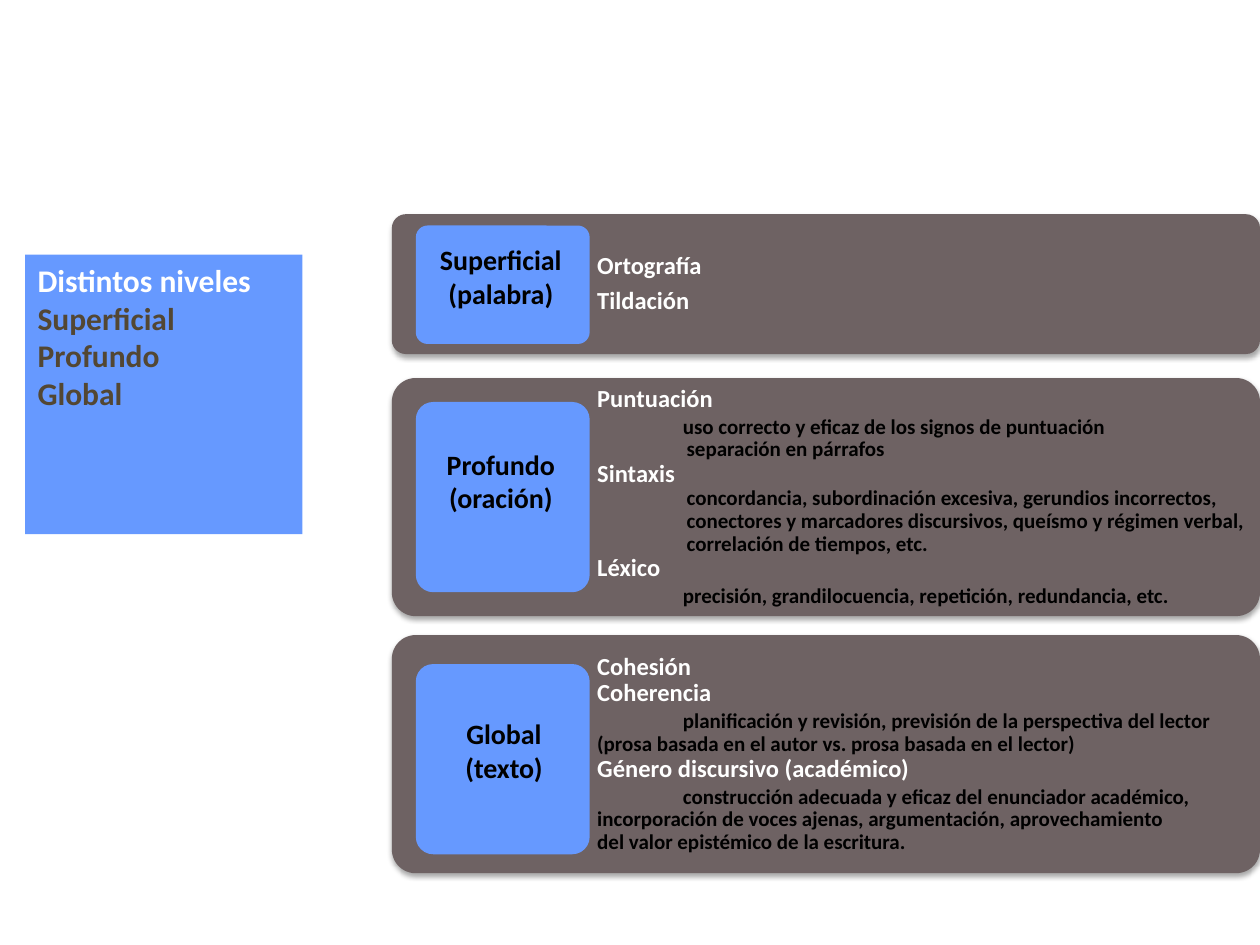
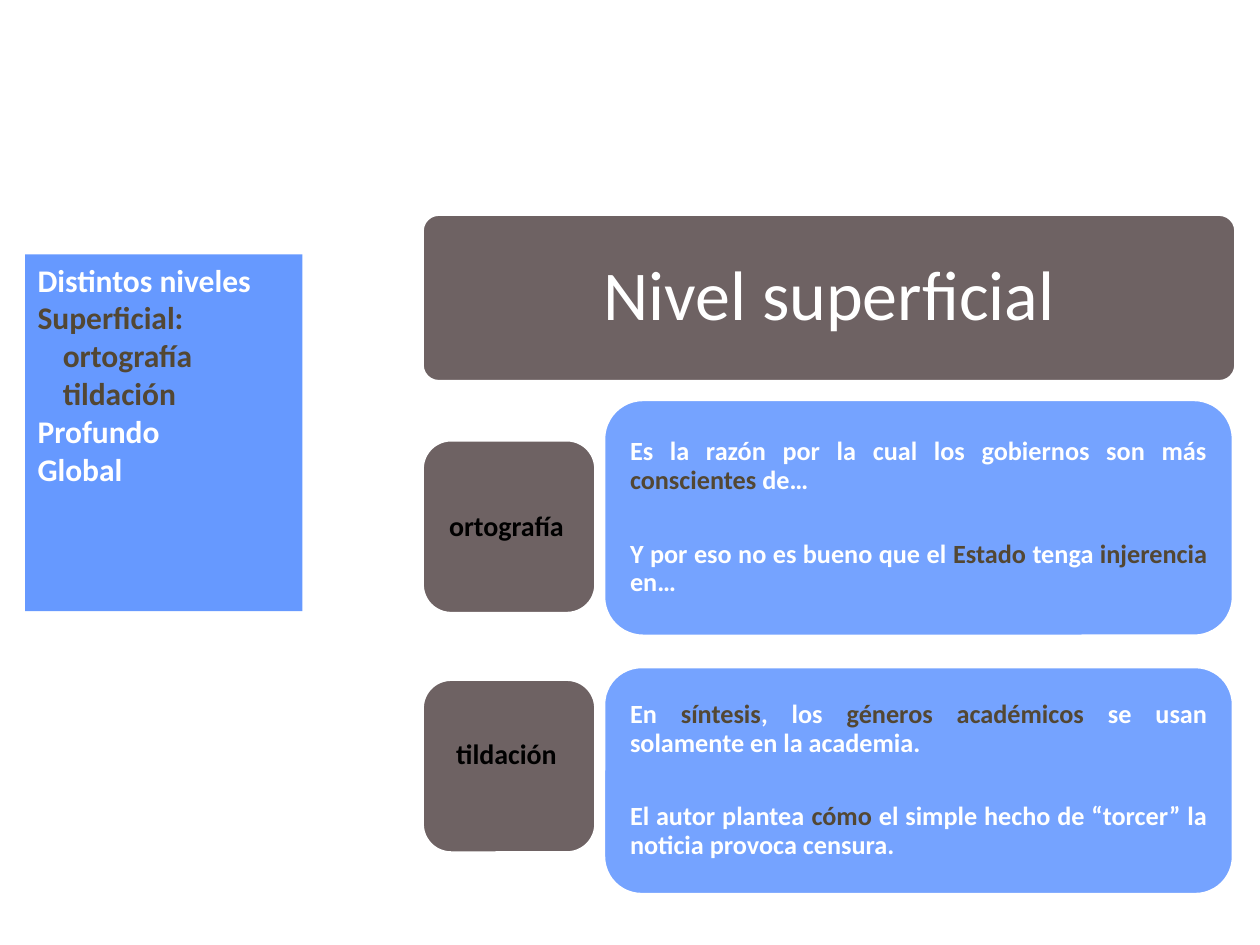
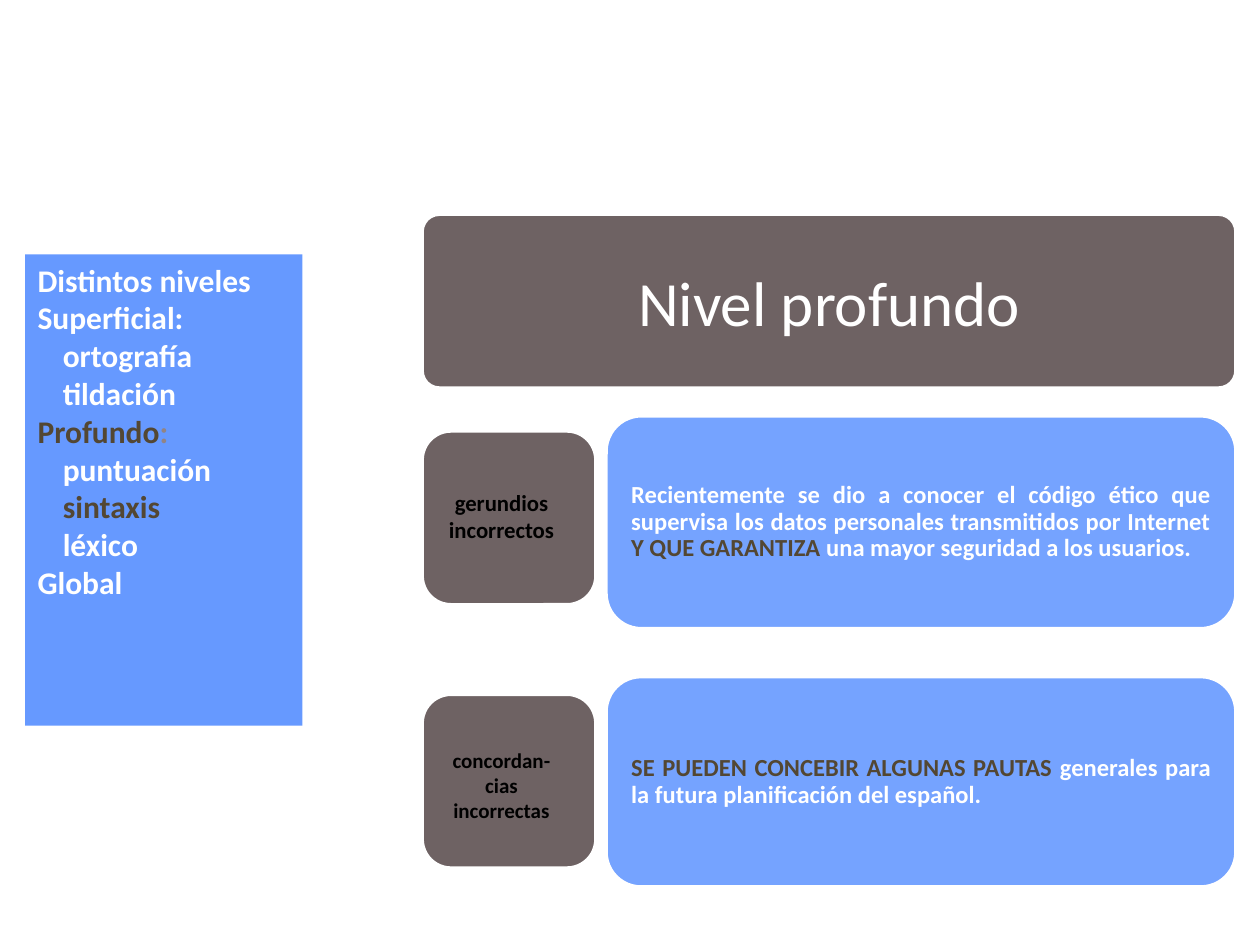
import dataclasses
import typing

import lxml.etree
import pptx
import pptx.dml.color
import pptx.enum.shapes
import pptx.enum.text
import pptx.oxml.ns
import pptx.util

Align = pptx.enum.text.PP_ALIGN
Anchor = pptx.enum.text.MSO_ANCHOR
Preset = pptx.enum.shapes.MSO_SHAPE

# Grid: 100 columns by 75 rows of square cells on a 10 by 7.5 inch page
CELL = pptx.util.Inches(0.1)
COLUMNS, ROWS = 100, 75


@dataclasses.dataclass(frozen=True)
class Theme:
    font: str = "Calibri"
    white: str = "FFFFFF"
    black: str = "000000"
    blue: str = "6699FF"
    taupe: str = "6E6263"
    brown: str = "534733"
    grey: str = "918485"
    index: int = 18
    label: int = 16
    example: int = 15
    heading: int = 14
    detail: int = 12
    outline: int = 2
    tight: float = 0.9
    bar_corner: float = 0.1
    card_corner: float = 0.167


THEME = Theme()


class Area(typing.NamedTuple):
    """Left, top, width and height in grid cells."""
    left: float
    top: float
    width: float
    height: float

    def inset(self, margin: float) -> "Area":
        return Area(self.left + margin, self.top + margin,
                    self.width - 2 * margin, self.height - 2 * margin)


class Span(typing.NamedTuple):
    text: str
    colour: str


@dataclasses.dataclass(frozen=True)
class Line:
    """One paragraph; indents and the tab stop are in grid cells."""
    spans: tuple[Span, ...]
    size: float
    bold: bool = True
    align: Align = Align.LEFT
    spacing: float = 1.0
    before: float = 0
    after: float = 0
    margin: float = 0
    first: float = 0
    tab: float = 0


@dataclasses.dataclass(frozen=True)
class Level:
    """A bar of the overview with its tile, its label and its text."""
    bar: Area
    tile: Area
    label_area: Area
    label: tuple[str, ...]
    lines: tuple[Line, ...]


@dataclasses.dataclass(frozen=True)
class Example:
    """A topic tile beside a card with sample sentences."""
    tile: Area
    label_area: Area
    label: str
    label_size: float
    card: Area
    lines: tuple[Line, ...]


@dataclasses.dataclass(frozen=True)
class TopicPage:
    index_height: float
    index: tuple[Line, ...]
    title_area: Area
    title: Line
    padding: float
    examples: tuple[Example, ...]


# Kinds of line

def accented(text: str) -> tuple[Span, ...]:
    """White text in which the parts between asterisks are brown."""
    colours = (THEME.white, THEME.brown)
    return tuple(Span(part, colours[number % 2])
                 for number, part in enumerate(text.split("*")) if part)


def entry(text: str, margin: float = 0) -> Line:
    return Line(accented(text), THEME.index, margin=margin)


def heading(text: str, after: float = 0) -> Line:
    return Line(accented(text), THEME.heading, spacing=THEME.tight, after=after)


def detail(text: str, **layout: float) -> Line:
    return Line((Span(text, THEME.black),), THEME.detail, spacing=THEME.tight, **layout)


def opening(text: str, **layout: float) -> Line:
    """A detail whose first line alone is indented."""
    return detail(text, first=6.8, before=2, **layout)


def sentence(text: str, size: float, after: float = 0) -> Line:
    return Line(accented(text), size, align=Align.JUSTIFY, spacing=THEME.tight, after=after)


def label_line(text: str, size: float) -> Line:
    return Line((Span(text, THEME.black),), size, align=Align.CENTER)


def title_line(text: str, size: float, spacing: float) -> Line:
    return Line(accented(text), size, bold=False, align=Align.CENTER, spacing=spacing)


# Drawing

def cells(count: float) -> int:
    return round(count * CELL)


def place(area: Area) -> list[int]:
    return [cells(length) for length in area]


def colour(value: str) -> pptx.dml.color.RGBColor:
    return pptx.dml.color.RGBColor.from_string(value)


def apply_format(target: typing.Any, values: dict[str, typing.Any]) -> None:
    for name, value in values.items():
        setattr(target, name, value)


def add_child(parent: typing.Any, tag: str, **attributes: typing.Any) -> typing.Any:
    child = lxml.etree.SubElement(parent, pptx.oxml.ns.qn(tag))
    for name, value in attributes.items():
        child.set(name, str(value))
    return child


def draw_box(page: typing.Any, area: Area, fill: str, corner: float = 0,
             outlined: bool = False, opacity: int = 100) -> typing.Any:
    preset = Preset.ROUNDED_RECTANGLE if corner else Preset.RECTANGLE
    box = page.shapes.add_shape(preset, *place(area))
    box.shadow.inherit = False
    if corner:
        box.adjustments[0] = corner
    box.fill.solid()
    box.fill.fore_color.rgb = colour(fill)
    if opacity < 100:
        tone = box.fill._xPr.find(".//" + pptx.oxml.ns.qn("a:srgbClr"))
        add_child(tone, "a:alpha", val=opacity * 1000)
    if outlined:
        box.line.color.rgb = colour(THEME.white)
        box.line.width = pptx.util.Pt(THEME.outline)
    else:
        box.line.fill.background()
    return box


def cast_shadow(box: typing.Any) -> None:
    effects = box._element.spPr.find(pptx.oxml.ns.qn("a:effectLst"))
    shadow = add_child(effects, "a:outerShdw", blurRad=pptx.util.Pt(3.1),
                       dist=pptx.util.Pt(1.8), dir=90 * 60000, rotWithShape=0)
    tone = add_child(shadow, "a:srgbClr", val=THEME.black)
    add_child(tone, "a:alpha", val=35000)


def write(box: typing.Any, lines: typing.Sequence[Line], anchor: Anchor = Anchor.TOP,
          across: float = 1, down: float = 0.5) -> None:
    frame = box.text_frame
    apply_format(frame, {
        "word_wrap": True, "vertical_anchor": anchor,
        "margin_left": cells(across), "margin_right": cells(across),
        "margin_top": cells(down), "margin_bottom": cells(down)})
    for number, line in enumerate(lines):
        para = frame.add_paragraph() if number else frame.paragraphs[0]
        apply_format(para, {
            "alignment": line.align, "line_spacing": line.spacing,
            "space_before": pptx.util.Pt(line.before),
            "space_after": pptx.util.Pt(line.after)})
        properties = para._p.get_or_add_pPr()
        properties.set("marL", str(cells(line.margin)))
        properties.set("indent", str(cells(line.first)))
        if line.tab:
            stops = add_child(properties, "a:tabLst")
            add_child(stops, "a:tab", pos=cells(line.tab), algn="l")
        for span in line.spans:
            run = para.add_run()
            run.text = span.text
            apply_format(run.font, {"name": THEME.font, "bold": line.bold,
                                    "size": pptx.util.Pt(line.size)})
            run.font.color.rgb = colour(span.colour)


def draw_text(page: typing.Any, area: Area, lines: typing.Sequence[Line],
              **layout: typing.Any) -> None:
    write(page.shapes.add_textbox(*place(area)), lines, **layout)


def draw_index(page: typing.Any, height: float, lines: typing.Sequence[Line]) -> None:
    write(draw_box(page, Area(2, 20.2, 22, height), THEME.blue), lines)


def draw_level(page: typing.Any, level: Level) -> None:
    cast_shadow(draw_box(page, level.bar, THEME.taupe, THEME.bar_corner))
    text_area = level.bar._replace(left=46.8, width=COLUMNS - 46.8)
    draw_text(page, text_area, level.lines, anchor=Anchor.MIDDLE, across=0.6, down=0.6)
    draw_box(page, level.tile, THEME.blue, THEME.bar_corner)
    draw_text(page, level.label_area, [label_line(text, THEME.label) for text in level.label])


def draw_example(page: typing.Any, example: Example, padding: float) -> None:
    draw_box(page, example.tile, THEME.taupe, THEME.card_corner, outlined=True)
    draw_box(page, example.card, THEME.blue, THEME.card_corner, outlined=True, opacity=90)
    draw_text(page, example.card.inset(0.9), example.lines,
              anchor=Anchor.MIDDLE, across=padding, down=padding)
    draw_text(page, example.label_area, [label_line(example.label, example.label_size)])


def draw_topic(page: typing.Any, topic: TopicPage) -> None:
    draw_index(page, topic.index_height, topic.index)
    draw_box(page, topic.title_area, THEME.taupe, THEME.bar_corner, outlined=True)
    draw_text(page, topic.title_area.inset(0.4), [topic.title],
              anchor=Anchor.MIDDLE, across=0.8, down=0.6)
    for example in topic.examples:
        draw_example(page, example, topic.padding)


# Content

OVERVIEW_INDEX = tuple(map(entry, (
    "Distintos niveles", "*Superficial*", "*Profundo*", "*Global*")))

LEVELS = (
    Level(Area(31.1, 17, 68.9, 11.1), Area(33, 17.9, 13.8, 9.4),
          Area(33.4, 18.8, 12.7, 8.4), ("Superficial", "(palabra)"),
          (heading("Ortografía", after=5), heading("Tildación"))),
    Level(Area(31.1, 30, 68.9, 18.9), Area(33, 31.9, 13.8, 15.1),
          Area(34.2, 35, 11.1, 6.4), ("Profundo", "(oración)"),
          (heading("Puntuación"),
           opening("uso correcto y eficaz de los signos de puntuación"),
           detail("separación en párrafos", margin=7.1),
           heading("Sintaxis"),
           detail("concordancia, subordinación excesiva, gerundios incorrectos, "
                  "conectores y marcadores discursivos, queísmo y régimen verbal, "
                  "correlación de tiempos, etc.", margin=7.1),
           heading("Léxico"),
           opening("precisión, grandilocuencia, repetición, redundancia, etc."))),
    Level(Area(31.1, 50.4, 68.9, 18.9), Area(33, 52.7, 13.8, 15.1),
          Area(35.7, 56.4, 8.6, 6.4), ("Global", "(texto)"),
          (heading("Cohesión"),
           heading("Coherencia"),
           opening("planificación y revisión, previsión de la perspectiva del lector "
                   "(prosa basada en el autor vs. prosa basada en el lector)"),
           heading("Género discursivo (académico)"),
           opening("construcción adecuada y eficaz del enunciador académico, "
                   "incorporación de voces ajenas, argumentación, aprovechamiento "
                   "\tdel valor epistémico de la escritura.", tab=47.6))),
)

TOPICS = (
    TopicPage(
        28.3,
        (entry("Distintos niveles"), entry("*Superficial:*"),
         entry("*ortografía tildación*", 2), entry("Profundo"), entry("Global")),
        Area(33.5, 17, 64.6, 13.3),
        title_line("Nivel superficial", 40, THEME.tight),
        1.2,
        (Example(Area(33.5, 34.9, 13.8, 13.8), Area(34.3, 39.9, 11.8, 3.7),
                 "ortografía", THEME.label, Area(47.9, 31.7, 50, 18.8),
                 (sentence("Es la razón por la cual los gobiernos son más "
                           "*conscientes *de…", THEME.example, after=26),
                  sentence("Y por eso no es bueno que el *Estado *tenga "
                           "*injerencia *en…", THEME.example))),
         Example(Area(33.5, 53.9, 13.8, 13.8), Area(34.3, 58, 11.8, 3.7),
                 "tildación", THEME.label, Area(47.9, 52.9, 50, 18.1),
                 (sentence("En *síntesis*, los *géneros académicos *se usan "
                           "solamente en la academia.", THEME.example, after=26),
                  sentence("El autor plantea *cómo *el simple hecho de “torcer” "
                           "la noticia provoca censura.", THEME.example))))),
    TopicPage(
        37.4,
        (entry("Distintos niveles"), entry("Superficial:"),
         entry("ortografía tildación", 2),
         Line((Span("Profundo", THEME.brown), Span(":", THEME.grey)), THEME.index),
         entry("puntuación", 2), entry("*sintaxis*", 2), entry("léxico", 2),
         entry("Global")),
        Area(33.5, 17, 64.6, 13.8),
        title_line("Nivel profundo", 36, 1.0),
        1.1,
        (Example(Area(33.5, 34.2, 13.8, 13.8), Area(34.3, 38.3, 11, 5.4),
                 "gerundios incorrectos", 13, Area(48.1, 33, 50, 16.9),
                 (sentence("Recientemente se dio a conocer el código ético que "
                           "supervisa los datos personales transmitidos por Internet "
                           "*Y QUE GARANTIZA *una mayor seguridad a los usuarios.",
                           THEME.heading),)),
         Example(Area(33.5, 55.1, 13.8, 13.8), Area(34.3, 58.8, 11, 7.1),
                 "concordan-cias incorrectas", 12, Area(48.1, 53.7, 50, 16.7),
                 (sentence("*SE PUEDEN CONCEBIR ALGUNAS PAUTAS *generales para la "
                           "futura planificación del español.", THEME.heading),)))),
)


def main() -> None:
    deck = pptx.Presentation()
    deck.slide_width, deck.slide_height = COLUMNS * CELL, ROWS * CELL
    blank = deck.slide_layouts[6]

    # Overview of the three levels
    overview = deck.slides.add_slide(blank)
    for level in LEVELS:
        draw_level(overview, level)
    draw_index(overview, 22.2, OVERVIEW_INDEX)

    # One page for each topic
    for topic in TOPICS:
        draw_topic(deck.slides.add_slide(blank), topic)

    deck.save("out.pptx")


if __name__ == "__main__":
    main()
